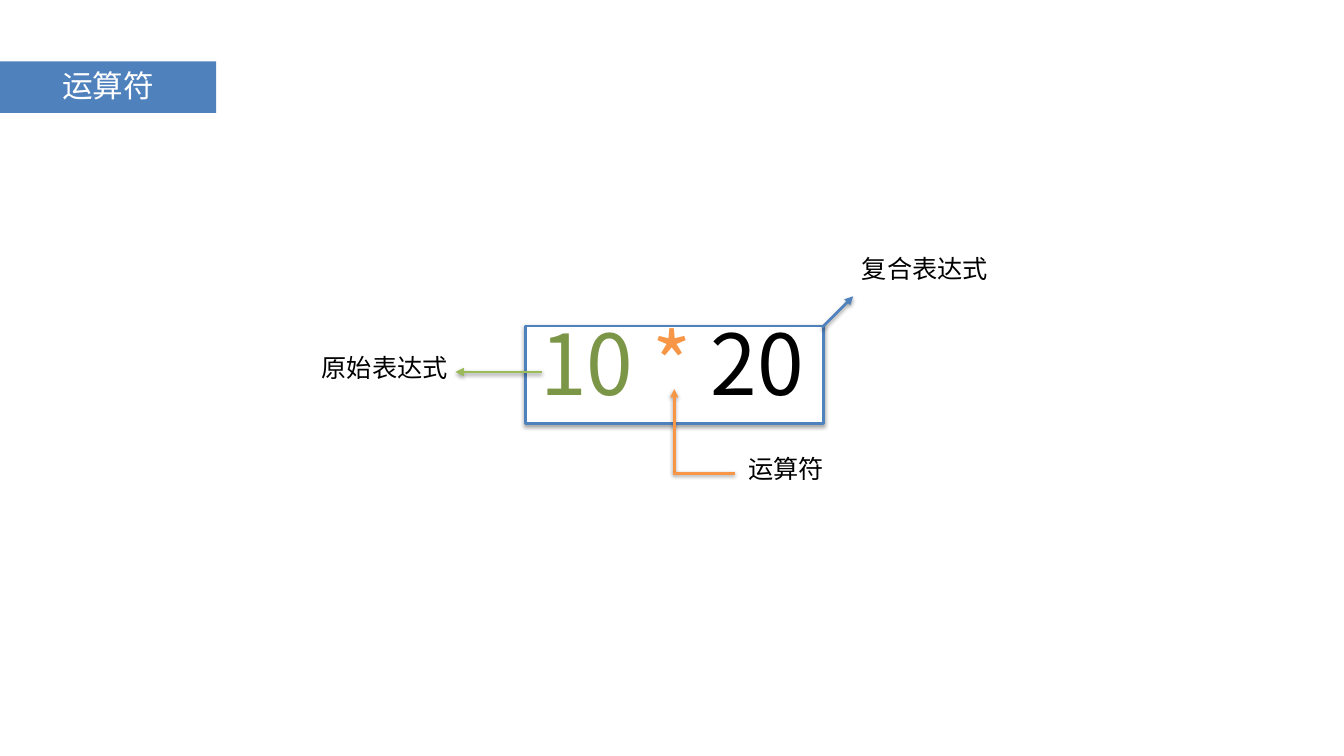
from lxml import etree
from pptx import Presentation
from pptx.dml.color import RGBColor
from pptx.enum.shapes import MSO_CONNECTOR, MSO_SHAPE
from pptx.enum.text import MSO_ANCHOR, MSO_AUTO_SIZE, PP_ALIGN
from pptx.oxml.ns import qn
from pptx.util import Inches, Pt

RECTANGLE = MSO_SHAPE.RECTANGLE
STRAIGHT = MSO_CONNECTOR.STRAIGHT
CENTER = PP_ALIGN.CENTER
TOP, MIDDLE = MSO_ANCHOR.TOP, MSO_ANCHOR.MIDDLE
GROW = MSO_AUTO_SIZE.SHAPE_TO_FIT_TEXT

FONT = "Noto Sans CJK SC"
LINE_WIDTH = 4
COLORS = {
    "white": "FFFFFF",
    "black": "000000",
    "blue": "4F81BD",
    "green": "9BBB59",
    "dark_green": "7C9647",
    "orange": "F79646",
}


def color(name):
    return RGBColor.from_string(COLORS[name])


def add_shadow(shape, opacity):
    effects = etree.SubElement(shape._element.spPr, qn("a:effectLst"))
    shadow = etree.SubElement(
        effects, qn("a:outerShdw"), blurRad=str(Pt(6)), dist=str(Pt(3)),
        dir=str(90 * 60000), rotWithShape="0")
    shade = etree.SubElement(shadow, qn("a:srgbClr"), val=COLORS["black"])
    etree.SubElement(shade, qn("a:alpha"), val=str(opacity * 1000))


def write_text(shape, spans, size, anchor=TOP, inset=0.1, wrap=False):
    frame = shape.text_frame
    frame.word_wrap = wrap
    frame.vertical_anchor = anchor
    frame.margin_left = frame.margin_right = Inches(inset)
    frame.margin_top = frame.margin_bottom = Inches(inset)
    para = frame.paragraphs[0]
    para.alignment = CENTER
    para.line_spacing = 0.9
    for text, color_name in spans:
        span = para.add_run()
        span.text = text
        span.font.size = Pt(size)
        span.font.name = FONT
        span.font.color.rgb = color(color_name)
        latin = span.font._element.find(qn("a:latin"))
        latin.addnext(etree.Element(qn("a:ea"), typeface=FONT))


def add_rectangle(page, left, top, width, height, fill):
    box = page.shapes.add_shape(
        RECTANGLE, Inches(left), Inches(top), Inches(width), Inches(height))
    box.fill.solid()
    box.fill.fore_color.rgb = color(fill)
    return box


def add_expression_frame(page):
    box = add_rectangle(page, 10.42, 6.47, 5.92, 1.93, "white")
    box.line.color.rgb = color("blue")
    box.line.width = Pt(LINE_WIDTH)
    add_shadow(box, 35)


def add_title(page, text):
    box = add_rectangle(page, 0, 1.22, 4.29, 1.02, "blue")
    box.line.fill.background()
    box.shadow.inherit = False
    write_text(box, [(text, "white")], 43.8, anchor=MIDDLE, inset=0, wrap=True)


def add_text(page, left, top, width, height, spans, size):
    box = page.shapes.add_textbox(
        Inches(left), Inches(top), Inches(width), Inches(height))
    write_text(box, spans, size)
    box.text_frame.auto_size = GROW


def add_label(page, left, top, width, text):
    add_text(page, left, top, width, 0.85, [(text, "black")], 36)


def add_line(page, start, end, color_name, arrow=True):
    line = page.shapes.add_connector(
        STRAIGHT, *[Inches(value) for value in (*start, *end)])
    line.line.color.rgb = color(color_name)
    line.line.width = Pt(LINE_WIDTH)
    if arrow:
        outline = line._element.spPr.find(qn("a:ln"))
        etree.SubElement(outline, qn("a:tailEnd"), type="triangle")
    add_shadow(line, 38)


def main():
    deck = Presentation()
    deck.slide_width, deck.slide_height = Inches(26.67), Inches(15)
    page = deck.slides.add_slide(deck.slide_layouts[6])

    add_expression_frame(page)
    add_title(page, "运算符")
    expression = [("10 ", "dark_green"), ("*", "orange"), (" 20", "black")]
    add_text(page, 10.4, 6.3, 5.87, 2.39, expression, 120)

    add_line(page, (13.38, 9.36), (13.38, 7.72), "orange")
    add_line(page, (13.36, 9.39), (14.58, 9.39), "orange", arrow=False)
    add_label(page, 14.75, 8.96, 1.71, "运算符")

    add_line(page, (16.31, 6.5), (16.93, 5.88), "blue")
    add_label(page, 17, 4.99, 2.71, "复合表达式")

    add_line(page, (10.76, 7.38), (9.04, 7.38), "green")
    add_label(page, 6.28, 6.95, 2.71, "原始表达式")

    deck.save("out.pptx")


if __name__ == "__main__":
    main()
